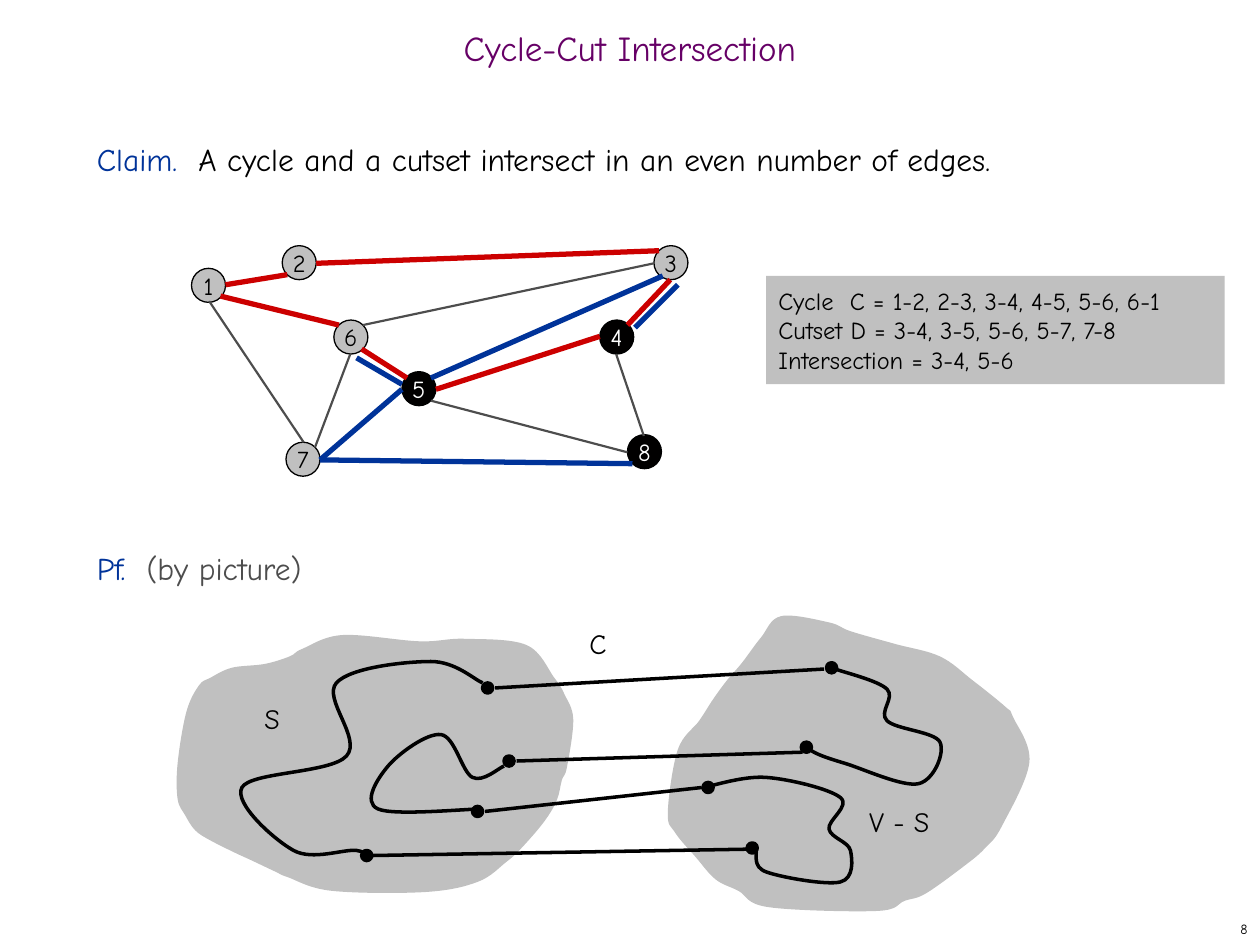
from typing import NamedTuple

from lxml.etree import Element
from lxml.etree import SubElement
from pptx import Presentation
from pptx.dml.color import RGBColor
from pptx.enum.shapes import MSO_CONNECTOR, MSO_SHAPE
from pptx.enum.text import MSO_ANCHOR, PP_ALIGN
from pptx.oxml.ns import qn
from pptx.util import Inches, Pt

COLORS = {
    "black": "000000", "white": "FFFFFF", "gray": "C0C0C0", "dark": "4D4D4D",
    "red": "CC0000", "blue": "003399", "purple": "660066", "ink": "010000",
}
FONT = "Comic Neue"
NODE, DOT = 0.27, 0.08


class Node(NamedTuple):
    label: str
    x: float
    y: float
    in_cut: bool = False


class Line(NamedTuple):
    x1: float
    y1: float
    x2: float
    y2: float
    color: str = "black"
    width: float = 2


class Label(NamedTuple):
    text: str
    x: float
    y: float
    w: float


BLOBS = [
    # V - S
    [(6.2, 4.89), (6.58, 4.94), (6.75, 5.01), (7.1, 5.11), (7.46, 5.21),
     (7.72, 5.4), (7.98, 5.61), (8.04, 5.69), (8.17, 6.05),
     (7.95, 6.56), (7.82, 6.73), (7.67, 6.86), (7.35, 7.09), (7.18, 7.15),
     (6.96, 7.23), (6.1, 7.2), (5.86, 7.07), (5.68, 6.98), (5.52, 6.8),
     (5.36, 6.61), (5.3, 6.45), (5.38, 5.95), (5.55, 5.72), (5.66, 5.55),
     (5.77, 5.4), (5.89, 5.26), (6.04, 5.06)],
    # S
    [(1.67, 5.38), (1.84, 5.3), (2.1, 5.27), (2.3, 5.21), (2.4, 5.15),
     (2.72, 5.04), (3.33, 5.09), (3.69, 5.07), (4.18, 5.12), (4.4, 5.38),
     (4.48, 5.51), (4.55, 5.71), (4.5, 6.09), (4.46, 6.19), (4.42, 6.35),
     (4.32, 6.52), (4.14, 6.73), (4.02, 6.84), (3.79, 7), (3.37, 7.08),
     (2.63, 7.07), (2.28, 6.96), (2.19, 6.92), (2, 6.83),
     (1.89, 6.78), (1.67, 6.67), (1.55, 6.59), (1.47, 6.47), (1.41, 6.34),
     (1.41, 6.06), (1.48, 5.65), (1.58, 5.44)],
]
CURVES = [
    [(2.92, 6.83), (2.83, 6.75), (2.33, 6.75), (1.92, 6.25), (2.75, 6),
     (2.67, 5.42), (3.42, 5.25), (3.83, 5.42)],
    [(3.83, 6.42), (3, 6.42), (3.08, 6.08), (3.5, 5.83), (3.75, 6.17), (4, 6.08)],
    [(6.38, 5.89), (6.46, 5.97), (6.71, 6.06), (7.29, 6.22), (7.46, 5.89),
     (7.04, 5.72), (7.04, 5.47), (6.63, 5.31)],
    [(5.58, 6.25), (6.08, 6.17), (6.67, 6.33), (6.58, 6.58), (6.75, 6.75),
     (6.67, 7), (6.08, 6.92), (6, 6.75)],
]
DOTS = [(6.56, 5.26), (3.83, 5.42), (2.87, 6.75), (5.93, 6.69),
        (4, 6), (6.36, 5.89), (3.75, 6.4), (5.58, 6.21)]
CROSSINGS = [Line(3.93, 5.46, 6.54, 5.31), Line(4.1, 6.04, 6.37, 5.97),
             Line(5.92, 6.74, 2.96, 6.79), Line(5.57, 6.25, 3.85, 6.44)]
NODES = [Node("1", 1.52, 2.13), Node("3", 5.19, 1.95), Node("8", 4.98, 3.45, True),
         Node("2", 2.24, 1.95), Node("6", 2.65, 2.54), Node("7", 2.27, 3.51),
         Node("4", 4.76, 2.54, True), Node("5", 3.19, 2.95, True)]
EDGES = [
    Line(1.66, 2.39, 2.41, 3.51, "dark", 1.25),
    Line(2.88, 2.58, 5.19, 2.09, "dark", 1.25),
    Line(3.42, 3.18, 4.98, 3.59, "dark", 1.25),
    Line(4.89, 2.81, 5.11, 3.46, "dark", 1.25),
    Line(2.78, 2.81, 2.5, 3.55, "dark", 1.25),
    # Cycle
    Line(1.79, 2.26, 2.28, 2.18, "red", 3),
    Line(1.75, 2.35, 2.69, 2.58, "red", 3),
    Line(4.98, 2.58, 5.32, 2.22, "red", 3),
    Line(2.87, 2.77, 3.23, 3, "red", 3),
    Line(3.46, 3.09, 4.76, 2.67, "red", 3),
    Line(2.51, 2.09, 5.23, 1.99, "red", 3),
    # Cutset
    Line(5.26, 2.19, 3.42, 3, "blue", 3),
    Line(2.54, 3.65, 3.19, 3.09, "blue", 3),
    Line(2.54, 3.65, 5.02, 3.68, "blue", 3),
    Line(2.83, 2.84, 3.19, 3.05, "blue", 3),
    Line(5.04, 2.6, 5.38, 2.26, "blue", 3),
]
LABELS = [Label("S", 2, 5.52, 0.42), Label("V - S", 6.8, 6.34, 0.92),
          Label("C", 4.58, 4.92, 0.42)]
SETS = ["Cycle  C = 1-2, 2-3, 3-4, 4-5, 5-6, 6-1",
        "Cutset D = 3-4, 3-5, 5-6, 5-7, 7-8",
        "Intersection = 3-4, 5-6"]


def rgb(name: str) -> RGBColor:
    return RGBColor.from_string(COLORS[name])


def write(sp, paragraphs: list, size: float, anchor=MSO_ANCHOR.TOP, wrap=True, **fmt):
    """Fill a shape with paragraphs, each a list of (text, colour) runs."""
    tf = sp.text_frame
    tf.word_wrap, tf.vertical_anchor = wrap, anchor
    for i, runs in enumerate(paragraphs):
        p = tf.add_paragraph() if i else tf.paragraphs[0]
        for key, value in {"alignment": PP_ALIGN.LEFT, **fmt}.items():
            setattr(p, key, value)
        for text, color in runs:
            r = p.add_run()
            r.text = text
            for key, value in {"name": FONT, "size": Pt(size)}.items():
                setattr(r.font, key, value)
            r.font.color.rgb = rgb(color)
    return tf


def add_text(s, x: float, y: float, w: float, h: float, paragraphs: list, size: float, **fmt):
    sp = s.shapes.add_textbox(Inches(x), Inches(y), Inches(w), Inches(h))
    return write(sp, paragraphs, size, **fmt)


def paint(sp, fill: str = "", line: str = "", width: float = 0) -> None:
    sp.shadow.inherit = False
    for part, color in ((sp.fill, fill), (sp.line.fill, line)):
        if color:
            part.solid()
            part.fore_color.rgb = rgb(color)
        else:
            part.background()
    if line:
        sp.line.width = Pt(width)


def add_preset(s, kind, x: float, y: float, w: float, h: float, **style):
    sp = s.shapes.add_shape(kind, Inches(x), Inches(y), Inches(w), Inches(h))
    paint(sp, **style)
    return sp


def add_line(s, ln: Line) -> None:
    cx = s.shapes.add_connector(MSO_CONNECTOR.STRAIGHT, Inches(ln.x1), Inches(ln.y1),
                                Inches(ln.x2), Inches(ln.y2))
    cx.line.color.rgb = rgb(ln.color)
    cx.line.width = Pt(ln.width)
    SubElement(cx._element.spPr, qn("a:effectLst"))


def round_off(sp, closed: bool) -> None:
    """Turn the straight segments of a freeform into Bezier curves through its knots."""
    pts = [(int(pt.get("x")), int(pt.get("y"))) for pt in sp._element.iter(qn("a:pt"))]
    before, after = (pts[-2], pts[1]) if closed else (pts[0], pts[-1])
    pts = [before, *pts, after]
    segments = list(sp._element.iter(qn("a:lnTo")))
    for seg, a, b, c, d in zip(segments, pts, pts[1:], pts[2:], pts[3:]):
        seg.tag = qn("a:cubicBezTo")
        for i, (knot, p, q) in enumerate(((b, a, c), (c, d, b))):
            x, y = (k + (v - u) / 6 for k, u, v in zip(knot, p, q))
            seg.insert(i, Element(qn("a:pt"), x=str(round(x)), y=str(round(y))))


def add_curve(s, knots: list, closed: bool, **style) -> None:
    start, *rest = [(Inches(x), Inches(y)) for x, y in knots]
    builder = s.shapes.build_freeform(*start)
    builder.add_line_segments(rest + [start] if closed else rest, close=closed)
    sp = builder.convert_to_shape()
    round_off(sp, closed)
    paint(sp, **style)


def main() -> None:
    prs = Presentation()
    prs.slide_width, prs.slide_height = Inches(10), Inches(7.5)
    s = prs.slides.add_slide(prs.slide_layouts[6])

    # Two sides of the cut
    for knots in BLOBS:
        add_curve(s, knots, True, fill="gray")

    # Title, claim and proof
    add_text(s, 0, 0.17, 10, 0.5, [[("Cycle-Cut Intersection", "purple")]], 20,
             anchor=MSO_ANCHOR.MIDDLE, alignment=PP_ALIGN.CENTER, line_spacing=0.7)
    tf = add_text(s, 0.67, 1, 8.58, 5.92, [
        [("Claim.  ", "blue"),
         ("A cycle and a cutset intersect in an even number of edges.", "black")],
        [("Pf.  ", "blue"), ("(by picture)", "dark")]], 18, line_spacing=Pt(26))
    tf.paragraphs[1].space_before = Pt(208)

    # Cycle crossing the cut
    for x, y in DOTS:
        add_preset(s, MSO_SHAPE.OVAL, x, y, DOT, DOT, fill="ink", line="black", width=2)
    for ln in CROSSINGS:
        add_line(s, ln)

    # Example graph
    for n in NODES:
        sp = add_preset(s, MSO_SHAPE.OVAL, n.x, n.y, NODE, NODE,
                        fill="ink" if n.in_cut else "gray", line="black", width=0.75)
        write(sp, [[(n.label, "white" if n.in_cut else "black")]], 14,
              anchor=MSO_ANCHOR.MIDDLE, wrap=False, alignment=PP_ALIGN.CENTER)
    for ln in EDGES:
        add_line(s, ln)

    # Labels and the cycle inside each side
    for lb in LABELS:
        add_text(s, lb.x, lb.y, lb.w, 0.37, [[(lb.text, "black")]], 16)
    for knots in CURVES:
        add_curve(s, knots, False, line="black", width=2)

    # Edge sets
    sp = add_preset(s, MSO_SHAPE.RECTANGLE, 6.08, 2.19, 3.64, 0.86, fill="gray")
    write(sp, [[(text, "black")] for text in SETS], 14, anchor=MSO_ANCHOR.MIDDLE)

    # Slide number
    add_text(s, 7.92, 7.25, 2.08, 0.25, [[("8", "black")]], 8,
             anchor=MSO_ANCHOR.MIDDLE, alignment=PP_ALIGN.RIGHT)
    prs.save("out.pptx")


if __name__ == "__main__":
    main()
